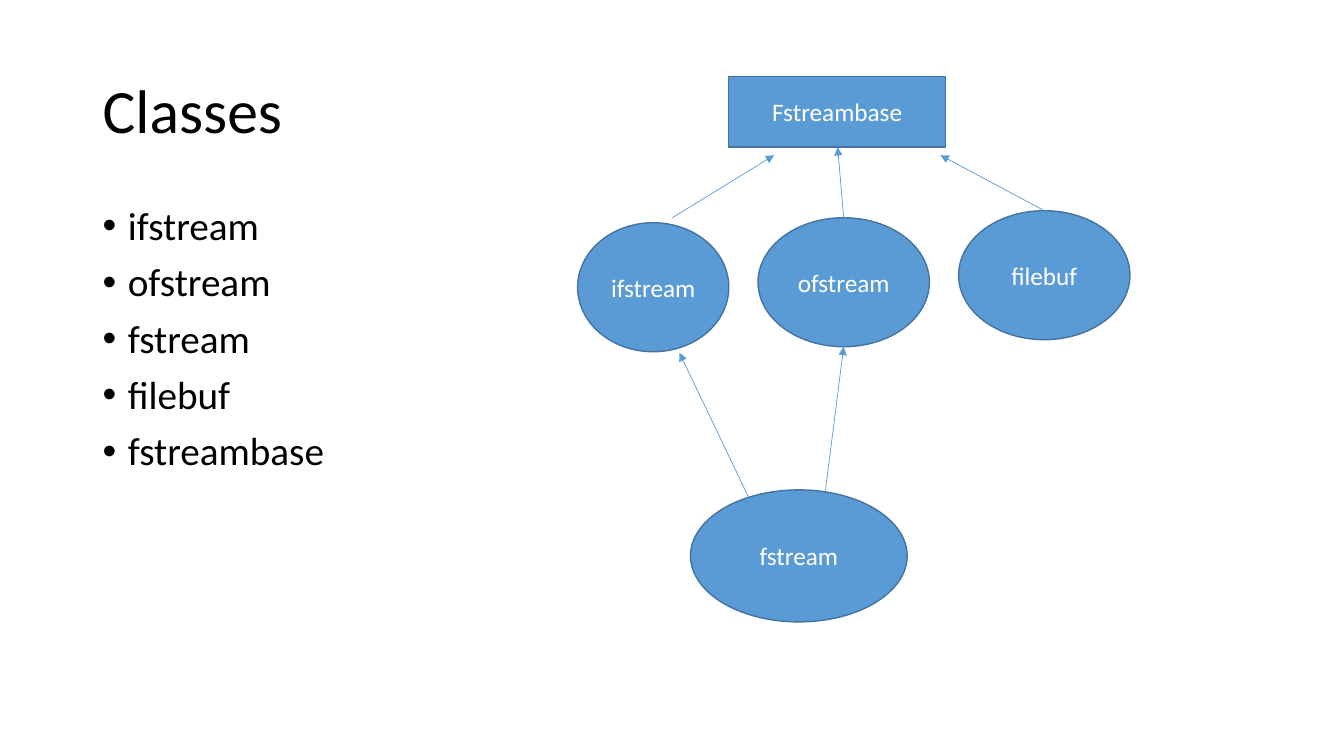
from lxml.etree import SubElement
from pptx import Presentation
from pptx.dml.color import RGBColor
from pptx.enum.shapes import MSO_CONNECTOR, MSO_SHAPE
from pptx.enum.text import MSO_ANCHOR, PP_ALIGN
from pptx.oxml.ns import qn
from pptx.util import Inches, Pt

THEME = {
    "font": "Calibri",
    "text": RGBColor.from_string("000000"),
    "node_text": RGBColor.from_string("FFFFFF"),
    "node_fill": RGBColor.from_string("5B9BD5"),
    "node_line": RGBColor.from_string("43739E"),
    "arrow": RGBColor.from_string("5B9BD5"),
    "title_size": Pt(44),
    "body_size": Pt(28),
    "node_size": Pt(18),
}

presentation = Presentation()
presentation.slide_width = Inches(13.33)
presentation.slide_height = Inches(7.5)
slide = presentation.slides.add_slide(presentation.slide_layouts[6])
COLUMN = presentation.slide_width / 40
ROW = presentation.slide_height / 30


def grid(*lengths):
    return [round(length * (ROW if index % 2 else COLUMN)) for index, length in enumerate(lengths)]


def write_text(shape, lines, size, color, align=PP_ALIGN.LEFT, anchor=MSO_ANCHOR.MIDDLE,
               line_spacing=1.0, space_before=Pt(0), bullet=None):
    frame = shape.text_frame
    frame.word_wrap = True
    frame.vertical_anchor = anchor
    for index, line in enumerate(lines):
        paragraph = frame.add_paragraph() if index else frame.paragraphs[0]
        paragraph.alignment = align
        paragraph.line_spacing = line_spacing
        paragraph.space_before = space_before if index else Pt(0)
        if bullet:
            properties = paragraph._p.get_or_add_pPr()
            properties.set("marL", str(Inches(0.25)))
            properties.set("indent", str(-Inches(0.25)))
            SubElement(properties, qn("a:buFont")).set("typeface", "Arial")
            SubElement(properties, qn("a:buChar")).set("char", bullet)
        run = paragraph.add_run()
        run.text = line
        run.font.name = THEME["font"]
        run.font.size = size
        run.font.color.rgb = color


title = slide.shapes.add_textbox(*grid(2.76, 1.6, 34.5, 5.8))
write_text(title, ["Classes"], THEME["title_size"], THEME["text"], line_spacing=0.9)

class_list = slide.shapes.add_textbox(*grid(2.76, 8, 34.5, 19.04))
write_text(class_list, ["ifstream", "ofstream", "fstream", "filebuf", "fstreambase"],
           THEME["body_size"], THEME["text"], anchor=MSO_ANCHOR.TOP,
           line_spacing=0.9, space_before=Pt(10), bullet="•")

nodes = [
    ("Fstreambase", MSO_SHAPE.RECTANGLE, (21.69, 3.04, 6.45, 2.8)),
    ("ifstream", MSO_SHAPE.OVAL, (17.19, 8.84, 4.5, 5.12)),
    ("ofstream", MSO_SHAPE.OVAL, (22.56, 8.64, 5.1, 5.12)),
    ("filebuf", MSO_SHAPE.OVAL, (28.53, 8.36, 5.1, 5.12)),
    ("fstream", MSO_SHAPE.OVAL, (20.55, 19.44, 6.45, 5.24)),
]
for name, outline, area in nodes:
    node = slide.shapes.add_shape(outline, *grid(*area))
    node.shadow.inherit = False
    node.fill.solid()
    node.fill.fore_color.rgb = THEME["node_fill"]
    node.line.color.rgb = THEME["node_line"]
    node.line.width = Pt(1)
    write_text(node, [name], THEME["node_size"], THEME["node_text"], align=PP_ALIGN.CENTER)

arrows = [
    (20.01, 8.64, 23.04, 6.16),
    (25.11, 8.64, 24.93, 5.84),
    (31.08, 8.36, 27.99, 6.16),
    (22.29, 19.76, 20.22, 14),
    (24.57, 19.44, 25.11, 13.76),
]
for ends in arrows:
    arrow = slide.shapes.add_connector(MSO_CONNECTOR.STRAIGHT, *grid(*ends))
    arrow.line.color.rgb = THEME["arrow"]
    arrow.line.width = Pt(0.5)
    properties = arrow._element.spPr
    SubElement(properties.find(qn("a:ln")), qn("a:tailEnd")).set("type", "triangle")
    SubElement(properties, qn("a:effectLst"))

presentation.save("out.pptx")
